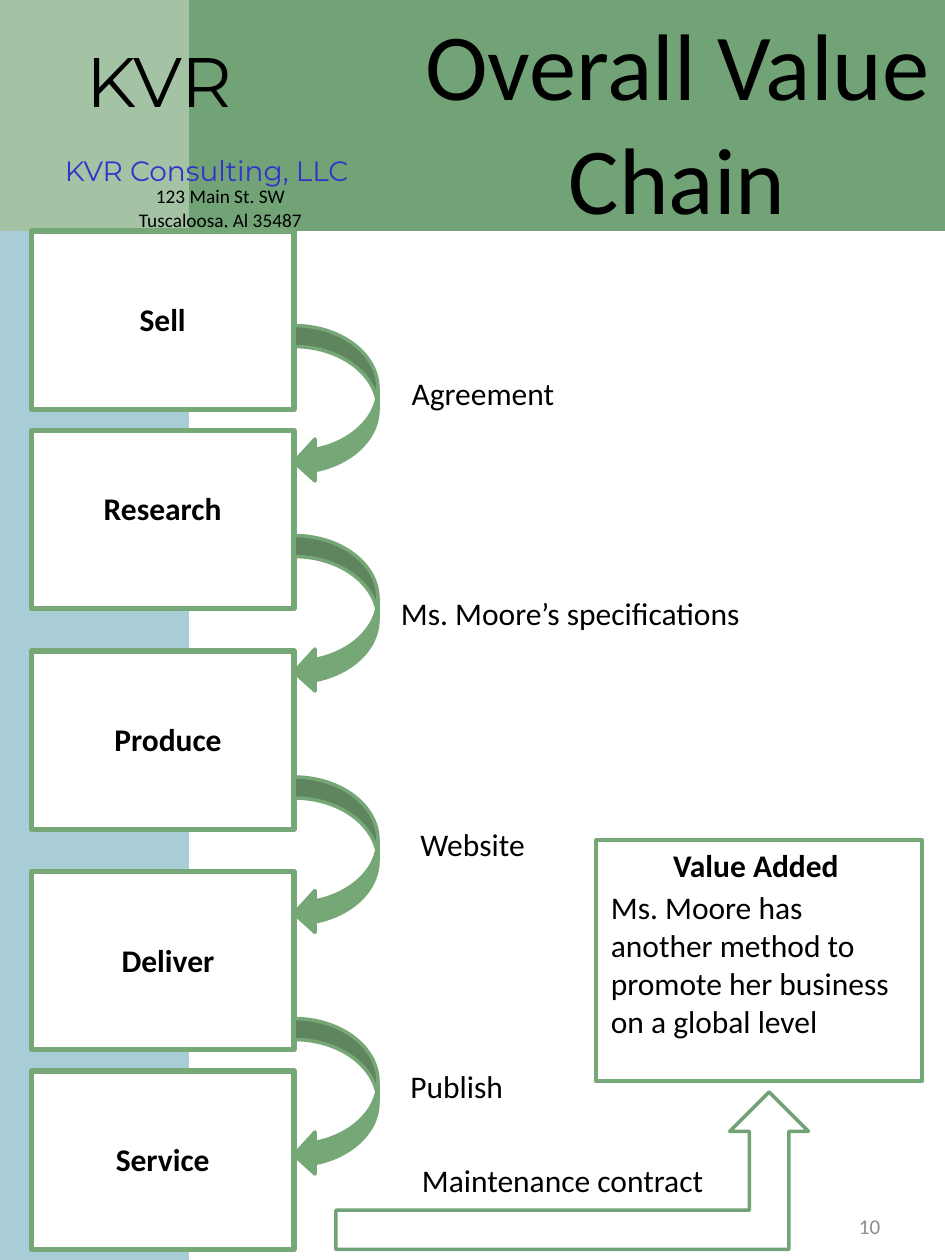
from dataclasses import dataclass

import pptx
import pptx.dml.color
import pptx.enum.shapes
import pptx.enum.text
import pptx.oxml
import pptx.oxml.ns
import pptx.util

SHAPE = pptx.enum.shapes.MSO_SHAPE
ALIGN = pptx.enum.text.PP_ALIGN
ANCHOR = pptx.enum.text.MSO_ANCHOR

COLS, ROWS = 90, 120
COLORS = {
    "black": "000000",
    "white": "FFFFFF",
    "blue": "3333CC",
    "gray": "8C8C8C",
    "side": "A8CDD7",
    "band": "72A376",
    "corner": "B0CCB0",
    "green": "76A776",
}

prs = pptx.Presentation()
prs.slide_width = pptx.util.Inches(7.5)
prs.slide_height = pptx.util.Inches(10)
s = prs.slides.add_slide(prs.slide_layouts[6])


@dataclass(frozen=True)
class Box:
    col: float
    row: float
    cols: float
    rows: float

    def emu(self) -> tuple[int, int, int, int]:
        cw, rh = prs.slide_width / COLS, prs.slide_height / ROWS
        return (round(self.col * cw), round(self.row * rh),
                round(self.cols * cw), round(self.rows * rh))


@dataclass(frozen=True)
class Step:
    name: str
    row: float
    label: Box


@dataclass(frozen=True)
class Handover:
    name: str
    arrow_row: float
    label: Box
    align: ALIGN = ALIGN.CENTER


def rgb(name: str) -> pptx.dml.color.RGBColor:
    return pptx.dml.color.RGBColor.from_string(COLORS[name])


def add_shape(kind: SHAPE, box: Box, fill: str, line: str = "",
              width: float = 2, alpha: int = 100) -> None:
    sp = s.shapes.add_shape(kind, *box.emu())
    sp.shadow.inherit = False
    sp.fill.solid()
    sp.fill.fore_color.rgb = rgb(fill)
    if alpha < 100:
        clr = sp._element.spPr.find(".//" + pptx.oxml.ns.qn("a:srgbClr"))
        clr.append(pptx.oxml.parse_xml(
            f'<a:alpha {pptx.oxml.ns.nsdecls("a")} val="{alpha * 1000}"/>'))
    if line:
        sp.line.color.rgb = rgb(line)
        sp.line.width = pptx.util.Pt(width)
    else:
        sp.line.fill.background()


def add_text(box: Box, *lines: str, size: float = 18, font: str = "Calibri",
             color: str = "black", bold: bool = False,
             align: ALIGN = ALIGN.CENTER, anchor: ANCHOR = ANCHOR.TOP) -> None:
    tf = s.shapes.add_textbox(*box.emu()).text_frame
    tf.word_wrap = True
    tf.vertical_anchor = anchor
    for i, line in enumerate(lines):
        p = tf.paragraphs[0] if i == 0 else tf.add_paragraph()
        p.alignment = align
        r = p.add_run()
        r.text = line
        r.font.size = pptx.util.Pt(size)
        r.font.name = font
        r.font.bold = bold
        r.font.color.rgb = rgb(color)


def add_step(step: Step) -> None:
    add_shape(SHAPE.RECTANGLE, Box(3, step.row, 25, 17), "white", "green", 3)
    add_text(step.label, step.name, bold=True)


def add_handover(h: Handover) -> None:
    add_shape(SHAPE.CURVED_LEFT_ARROW, Box(28, h.arrow_row, 8, 15), "green", "green")
    add_text(h.label, h.name, align=h.align)


STEPS = [
    Step("Sell", 22, Box(4, 28, 23, 4.8)),
    Step("Research", 41, Box(4, 46, 23, 4.8)),
    Step("Produce", 62, Box(4, 68, 24, 4.8)),
    Step("Deliver", 83, Box(4, 89, 24, 4.8)),
    Step("Service", 102, Box(3, 108, 25, 4.8)),
]
HANDOVERS = [
    Handover("Agreement", 31, Box(37, 35, 18, 4.8)),
    Handover("Ms. Moore’s specifications", 51, Box(37, 56, 40, 4.8), ALIGN.LEFT),
    Handover("Website", 74, Box(37, 78, 16, 4.8)),
    Handover("Publish", 97, Box(37, 101, 13, 4.8)),
]

add_shape(SHAPE.RECTANGLE, Box(0, 8, 18, 112), "side")
add_shape(SHAPE.RECTANGLE, Box(0, 0, COLS, 22), "band")
add_shape(SHAPE.RECTANGLE, Box(0, 0, 18, 22), "corner", alpha=80)

add_text(Box(5.5, 3, 19.4, 9.2), "KVR", size=40, font="Montserrat")
add_text(Box(3, 14, 33.4, 3.7), "KVR Consulting, LLC", size=16,
         font="Montserrat", color="blue")
add_text(Box(0, 17, 42, 5.6), "123 Main St. SW", "Tuscaloosa, Al 35487", size=11)
add_text(Box(39, 0, 51, 23), "Overall Value Chain", size=54)

for step in STEPS:
    add_step(step)
for handover in HANDOVERS:
    add_handover(handover)

add_shape(SHAPE.BENT_UP_ARROW, Box(32, 104, 45, 15), "white", "band")
add_text(Box(39, 110, 32, 4.8), "Maintenance contract", align=ALIGN.LEFT)

add_shape(SHAPE.RECTANGLE, Box(56.8, 80, 31, 23), "white", "green", 2.25)
add_text(Box(57, 80, 30, 4.8), "Value Added", bold=True)
add_text(Box(57, 84, 30, 15.7),
         "Ms. Moore has another method to promote her business on a global level",
         align=ALIGN.LEFT)

add_text(Box(64, 113.6, 21, 6.4), "10", size=12, color="gray",
         align=ALIGN.RIGHT, anchor=ANCHOR.MIDDLE)

prs.save("out.pptx")
